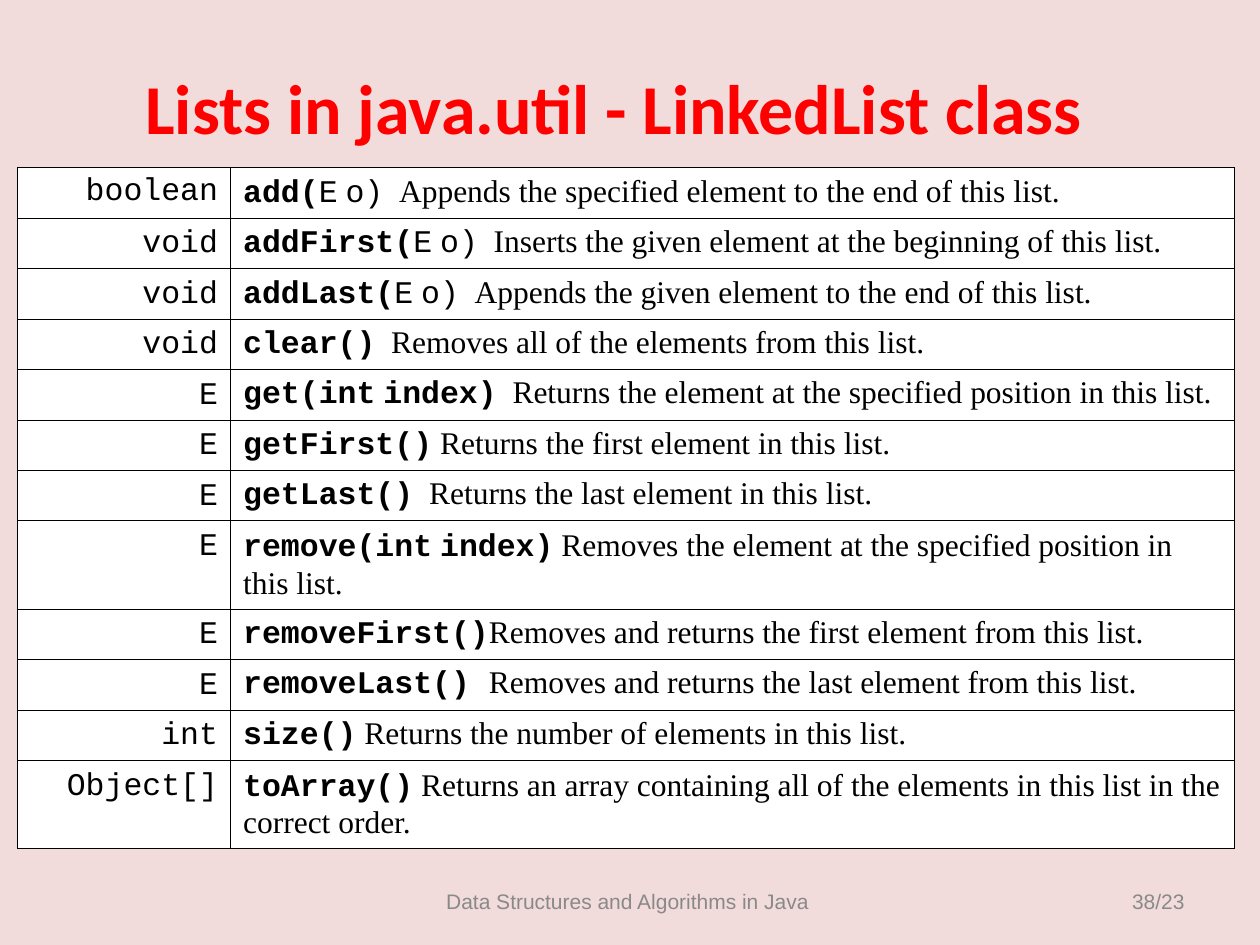
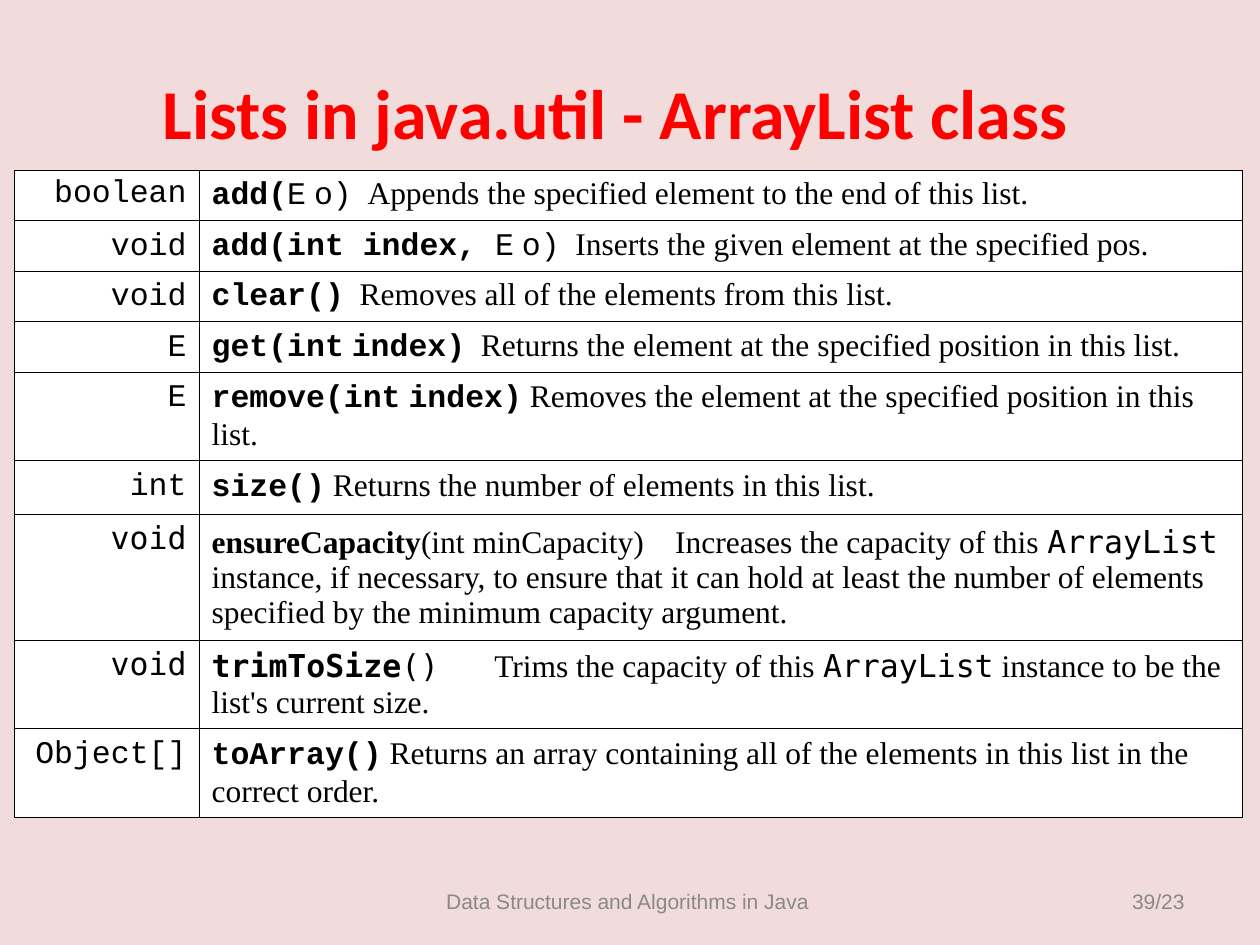
import itertools

import pptx
import pptx.dml.color
import pptx.enum.text
import pptx.oxml
import pptx.oxml.ns
import pptx.util

RGBColor = pptx.dml.color.RGBColor
Inches = pptx.util.Inches
Pt = pptx.util.Pt
ALIGN = pptx.enum.text.PP_ALIGN
ANCHOR = pptx.enum.text.MSO_ANCHOR

# Colours and fonts
PINK = RGBColor(0xF2, 0xDC, 0xDB)
RED = RGBColor(0xFF, 0x00, 0x00)
GREY = RGBColor(0x89, 0x89, 0x89)
BLACK = RGBColor(0x00, 0x00, 0x00)
WHITE = RGBColor(0xFF, 0xFF, 0xFF)
SANS, HEAD, CODE = "Arial", "Calibri", "Courier New"
MONO, SERIF = "DejaVu Sans Mono", "Times New Roman"

# Run styles: (font, bold)
B, C, T = (CODE, True), (CODE, False), (SERIF, False)
M, BM, BT = (MONO, False), (MONO, True), (SERIF, True)
NBSP = "~"  # stands for a no-break space in the content below

# Content: rows of (return type, runs of the description)
ADD = ("boolean", [(B, "add("), (C, "E~o) ~"),
                   (T, "Appends the specified element to the end of this list.")])
CLEAR = ("~void", [(B, "clear()"),
                   (T, "  Removes all of the elements from this list.")])
GET = ("~E", [(B, "get(int~index)~~"),
              (T, "Returns the element at the specified position in this list.")])
REMOVE = ("~E", [(B, "remove(int~index)~"),
                 (T, "Removes the element at the specified position in this list.")])
SIZE = ("~int", [(B, "size()"), (T, " Returns the number of elements in this list.")])
TO_ARRAY = ("~Object[]", [(B, "toArray()~"),
                          (T, "Returns an array containing all of the elements "
                              "in this list in the correct order.")])

LINKED_LIST = [
    ADD,
    ("~void", [(B, "addFirst("), (C, "E~o)~~"),
               (T, "Inserts the given element at the beginning of this list.")]),
    ("~void", [(B, "addLast("), (C, "E~o) ~"),
               (T, "Appends the given element to the end of this list.")]),
    CLEAR,
    GET,
    ("~E", [(B, "getFirst()~"), (T, "Returns the first element in this list.")]),
    ("~E", [(B, "getLast() ~"), (T, "Returns the last element in this list.")]),
    REMOVE,
    ("~E", [(B, "removeFirst()"),
            (T, "Removes and returns the first element from this list.")]),
    ("~E", [(B, "removeLast() "),
            (T, "Removes and returns the last element from this list.")]),
    SIZE,
    TO_ARRAY,
]
ARRAY_LIST = [
    ADD,
    ("~void", [(B, "add(int index, "), (C, "E~o)~~"),
               (T, "Inserts the given element at the specified pos.")]),
    CLEAR,
    GET,
    REMOVE,
    SIZE,
    ("~void", [(BT, "ensureCapacity"),
               (T, "(int~minCapacity) ~~~Increases the capacity of this "),
               (M, "ArrayList"),
               (T, " instance, if necessary, to ensure that it can hold at least the "
                   "number of elements specified by the minimum capacity argument.")]),
    ("~void", [(BM, "trimToSize"), (M, "()~~~~~~~"),
               (T, "Trims the capacity of this "), (M, "ArrayList"),
               (T, " instance to be the list's current size.")]),
    TO_ARRAY,
]

ONE, TWO, THREE = 0.4, 0.7, 1.0  # row heights by number of lines
SLIDES = [
    dict(title="Lists in java.util - LinkedList class ", title_at=(0.06, 0.46, 9.75, 0.77),
         page="38/23", corner=(0.14, 1.33), cols=(1.69, 7.97), rows=LINKED_LIST,
         heights=[ONE] * 7 + [TWO] + [ONE] * 3 + [TWO]),
    dict(title="Lists in java.util - ArrayList class ", title_at=(0.03, 0.5, 9.83, 0.77),
         page="39/23", corner=(0.11, 1.35), cols=(1.47, 8.28), rows=ARRAY_LIST,
         heights=[ONE] * 4 + [TWO, 0.43, THREE, TWO, TWO]),
]
FOOTER = "Data Structures and Algorithms in Java "
FOOTER_AT, PAGE_AT = (3.17, 6.95, 3.67, 0.4), (7.17, 6.95, 2.33, 0.4)


def add_run(p, text, font, size, color, bold=False):
    r = p.add_run()
    r.text = text.replace(NBSP, chr(160))
    r.font.name, r.font.size, r.font.bold = font, Pt(size), bold
    r.font.color.rgb = color


def add_text(s, at, text, font, size, color, align, bold=False):
    tf = s.shapes.add_textbox(*map(Inches, at)).text_frame
    tf.word_wrap = True
    tf.vertical_anchor = ANCHOR.MIDDLE
    tf.paragraphs[0].alignment = align
    add_run(tf.paragraphs[0], text, font, size, color, bold)


def add_cell_run(p, text, font, bold, gap_font):
    """Gaps that hold a no-break space are set in gap_font."""
    pieces = []
    for is_gap, chars in itertools.groupby(text, lambda ch: ch in " " + NBSP):
        piece = "".join(chars)
        name = gap_font if is_gap and NBSP in piece else font
        if pieces and pieces[-1][0] == name:
            pieces[-1][1] += piece
        else:
            pieces.append([name, piece])
    for name, piece in pieces:
        add_run(p, piece, name, 18, BLACK, bold)


def format_cell(cell):
    cell.margin_left = cell.margin_right = Inches(0.1)
    cell.margin_top = cell.margin_bottom = Inches(0.05)
    tcPr = cell._tc.get_or_add_tcPr()
    for side in ("lnL", "lnR", "lnT", "lnB"):
        tcPr.append(pptx.oxml.parse_xml(
            f'<a:{side} {pptx.oxml.ns.nsdecls("a")} w="{Pt(0.34)}">'
            f'<a:solidFill><a:srgbClr val="{BLACK}"/></a:solidFill></a:{side}>'))
    cell.fill.solid()
    cell.fill.fore_color.rgb = WHITE


def add_methods(s, corner, cols, heights, rows):
    size = sum(cols), sum(heights)
    table = s.shapes.add_table(len(rows), 2, *map(Inches, corner + size)).table
    table.first_row = table.horz_banding = False
    for column, width in zip(table.columns, cols):
        column.width = Inches(width)
    for row, height, (kind, runs) in zip(table.rows, heights, rows):
        row.height = Inches(height)
        left, right = row.cells
        format_cell(left)
        format_cell(right)

        # Return type: mono where the description uses mono
        mono = any(font == MONO for (font, _), _ in runs)
        p = left.text_frame.paragraphs[0]
        p.alignment = ALIGN.RIGHT
        add_cell_run(p, kind, MONO if mono else CODE, False, CODE if mono else SANS)

        # Method and what it does
        right.vertical_anchor = ANCHOR.MIDDLE
        for (font, bold), text in runs:
            add_cell_run(right.text_frame.paragraphs[0], text, font, bold, SERIF)


def main():
    prs = pptx.Presentation()
    prs.slide_width, prs.slide_height = Inches(10), Inches(7.5)
    for d in SLIDES:
        s = prs.slides.add_slide(prs.slide_layouts[6])
        s.background.fill.solid()
        s.background.fill.fore_color.rgb = PINK
        add_text(s, FOOTER_AT, FOOTER, SANS, 12, GREY, ALIGN.CENTER)
        add_text(s, PAGE_AT, d["page"], SANS, 12, GREY, ALIGN.RIGHT)
        add_text(s, d["title_at"], d["title"], HEAD, 40, RED, ALIGN.CENTER, bold=True)
        add_methods(s, d["corner"], d["cols"], d["heights"], d["rows"])
    prs.save("out.pptx")


if __name__ == "__main__":
    main()
